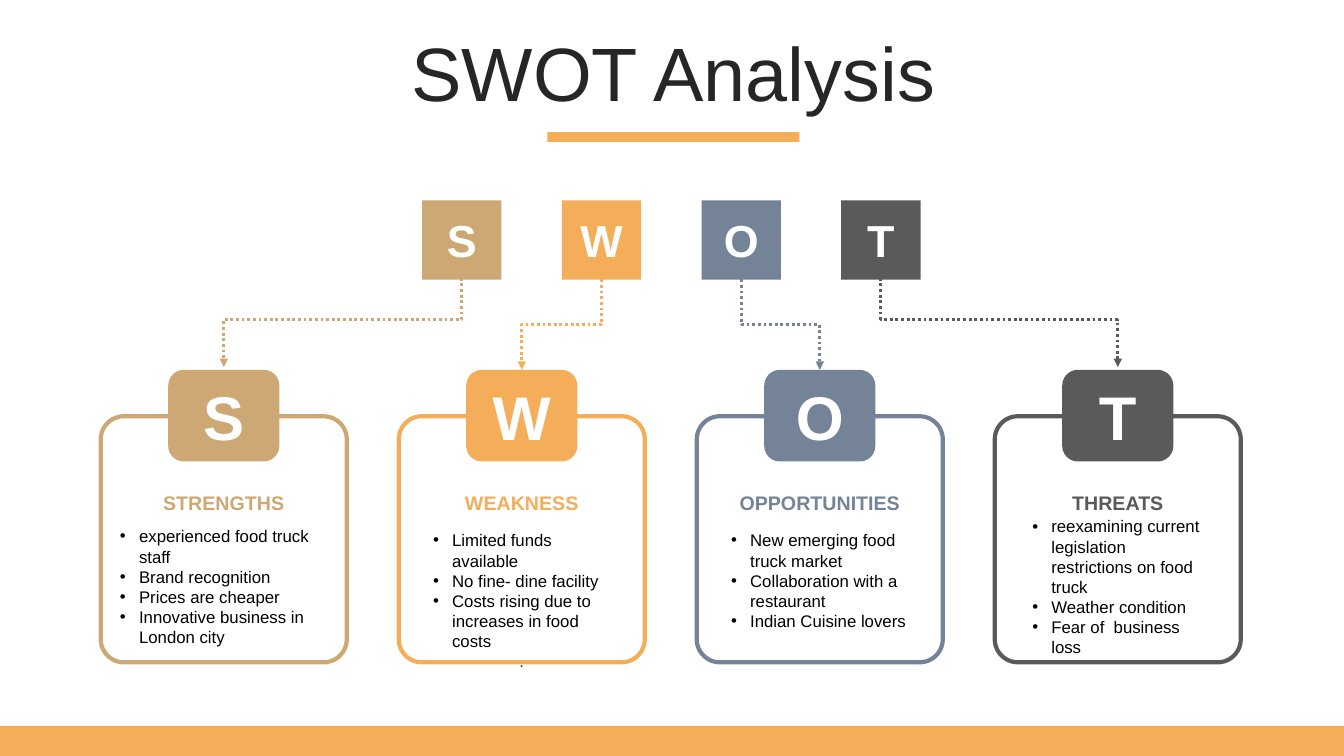
from dataclasses import dataclass

from lxml.etree import SubElement
from pptx import Presentation
from pptx.dml.color import RGBColor
from pptx.enum.dml import MSO_LINE
from pptx.enum.shapes import MSO_CONNECTOR as LINK, MSO_SHAPE as SHAPE
from pptx.enum.text import MSO_ANCHOR as ANCHOR, MSO_AUTO_SIZE as FIT, PP_ALIGN as ALIGN
from pptx.oxml.ns import qn
from pptx.util import Cm, Pt

WHITE, INK, ORANGE = "FFFFFF", "262626", "F4AE59"
FONT = "Arial"
CARD_LEFT, CARD_TOP, CARD_PITCH, CARD_SIZE = 2.54, 10.49, 7.51, 6.2
TILE_LEFT, TILE_TOP, TILE_PITCH, TILE_SIZE = 10.64, 5.05, 3.52, 2.0
BADGE_TOP, BADGE_WIDTH, BADGE_HEIGHT = 9.32, 2.8, 2.31
OUTER_RUN, INNER_RUN = (6.86, 9.25), (7.04, 9.32)


@dataclass
class Quadrant:
    """One SWOT letter; list_box is relative to its card, arrow_run is top and bottom."""
    letter: str
    heading: str
    color: str
    points: list
    list_box: tuple
    arrow_run: tuple
    closing: str = ""


QUADRANTS = [
    Quadrant("S", "STRENGTHS", "CDA874",
             ["experienced food truck staff", "Brand recognition",
              "Prices are cheaper", "Innovative business in London city"],
             (0.23, 2.64, 6.1, 3.33), OUTER_RUN),
    Quadrant("W", "WEAKNESS", ORANGE,
             ["Limited funds available", "No fine- dine facility",
              "Costs rising due to increases in food costs"],
             (0.61, 2.74, 4.98, 3.84), INNER_RUN, "."),
    Quadrant("O", "OPPORTUNITIES", "748398",
             ["New emerging food truck market", "Collaboration with a restaurant",
              "Indian Cuisine lovers"],
             (0.61, 2.74, 4.98, 2.82), INNER_RUN),
    Quadrant("T", "THREATS", "5A5A5A",
             ["reexamining current legislation  restrictions on food truck",
              "Weather condition", "Fear of  business loss"],
             (0.69, 2.39, 4.98, 3.84), OUTER_RUN),
]


def rgb(color):
    return RGBColor.from_string(color)


def apply(target, **values):
    for name, value in values.items():
        setattr(target, name, value)


def place(shape, box):
    apply(shape, **dict(zip(("left", "top", "width", "height"), map(Cm, box))))


def write(paragraph, text, size, color, bold=False, align=ALIGN.CENTER, line_spacing=1.0):
    paragraph.text = text
    apply(paragraph, alignment=align, line_spacing=line_spacing,
          space_before=Pt(0), space_after=Pt(0))
    apply(paragraph.font, name=FONT, size=Pt(size), bold=bold)
    paragraph.font.color.rgb = rgb(color)


def set_bullet(paragraph, mark=None):
    """Give the paragraph a hanging bullet, or none and no indent."""
    hang = Cm(0.48) if mark else 0
    properties = paragraph._p.get_or_add_pPr()
    properties.set("marL", str(hang))
    properties.set("indent", str(-hang))
    if mark:
        SubElement(properties, qn("a:buFont"), typeface=FONT)
        SubElement(properties, qn("a:buChar"), char=mark)
    else:
        SubElement(properties, qn("a:buNone"))


def add_block(slide, preset, box, fill, line=None, corner=None):
    block = slide.shapes.add_shape(preset, *map(Cm, box))
    block.shadow.inherit = False
    block.fill.solid()
    block.fill.fore_color.rgb = rgb(fill)
    if line:
        block.line.color.rgb = rgb(line)
        block.line.width = Pt(3)
    else:
        block.line.fill.background()
    if corner:
        block.adjustments[0] = corner
    return block


def add_letter_block(slide, preset, box, quadrant, size, corner=None):
    frame = add_block(slide, preset, box, quadrant.color, corner=corner).text_frame
    apply(frame, margin_left=0, margin_right=0, margin_top=0, margin_bottom=0,
          vertical_anchor=ANCHOR.MIDDLE, word_wrap=False)
    write(frame.paragraphs[0], quadrant.letter, size, WHITE, bold=True)


def add_title(slide, box):
    left, top, width, height = box
    title = slide.shapes.title
    place(title, box)
    apply(title.text_frame, vertical_anchor=ANCHOR.MIDDLE, auto_size=FIT.NONE)
    write(title.text_frame.paragraphs[0], "SWOT Analysis", 54, INK, line_spacing=0.9)
    rule_width = 6.35
    add_block(slide, SHAPE.RECTANGLE,
              (left + (width - rule_width) / 2, top + height + 0.38, rule_width, 0.25), ORANGE)


def fill_list(body, quadrant, box):
    place(body, box)
    frame = body.text_frame
    apply(frame, vertical_anchor=ANCHOR.TOP, auto_size=FIT.NONE, word_wrap=True)
    for index, point in enumerate(quadrant.points):
        paragraph = frame.add_paragraph() if index else frame.paragraphs[0]
        write(paragraph, point, 12, "000000", align=ALIGN.LEFT)
        set_bullet(paragraph, "•")
    if quadrant.closing:
        paragraph = frame.add_paragraph()
        write(paragraph, quadrant.closing, 12, "404040")
        set_bullet(paragraph)
    # Bring the list in front of its card.
    body.element.getparent().append(body.element)


def add_card(slide, quadrant, body, box):
    left, top, width, height = box
    add_block(slide, SHAPE.ROUNDED_RECTANGLE, box, WHITE, quadrant.color, corner=0.094)
    add_letter_block(slide, SHAPE.ROUNDED_RECTANGLE,
                     (left + (width - BADGE_WIDTH) / 2, BADGE_TOP, BADGE_WIDTH, BADGE_HEIGHT),
                     quadrant, 44, corner=0.17)
    heading = slide.shapes.add_textbox(*map(Cm, (left + 0.61, top + 1.75, 4.98, 0.86)))
    heading.text_frame.word_wrap = True
    write(heading.text_frame.paragraphs[0], quadrant.heading, 14, quadrant.color, bold=True)
    dx, dy, list_width, list_height = quadrant.list_box
    fill_list(body, quadrant, (left + dx, top + dy, list_width, list_height))


def add_arrow(slide, start_x, end_x, quadrant):
    """Draw an elbow that leaves downwards: a sideways elbow turned by a quarter."""
    start_y, end_y = quadrant.arrow_run
    middle_x, middle_y = (start_x + end_x) / 2, (start_y + end_y) / 2
    to_right = end_x > start_x
    half_run = (end_y - start_y) / 2 * (-1 if to_right else 1)
    half_span = abs(end_x - start_x) / 2
    arrow = slide.shapes.add_connector(
        LINK.ELBOW, *map(Cm, (middle_x - half_run, middle_y - half_span,
                              middle_x + half_run, middle_y + half_span)))
    arrow.line.color.rgb = rgb(quadrant.color)
    apply(arrow.line, width=Pt(2), dash_style=MSO_LINE.ROUND_DOT)
    properties = arrow.element.spPr
    properties.find(qn("a:xfrm")).set("rot", str((270 if to_right else 90) * 60000))
    SubElement(properties.find(qn("a:ln")), qn("a:tailEnd"), type="triangle")
    SubElement(properties, qn("a:effectLst"))


def build_swot_slide(deck):
    comparison_layout = deck.slide_layouts[4]
    slide = deck.slides.add_slide(comparison_layout)
    bodies = [holder for holder in slide.placeholders if holder.placeholder_format.idx]
    add_block(slide, SHAPE.RECTANGLE, (0, 18.29, 33.87, 0.76), ORANGE)
    add_title(slide, (0.89, 0.94, 32.16, 2.01))
    for column, (quadrant, body) in enumerate(zip(QUADRANTS, bodies)):
        card_left = CARD_LEFT + column * CARD_PITCH
        tile_left = TILE_LEFT + column * TILE_PITCH
        add_card(slide, quadrant, body, (card_left, CARD_TOP, CARD_SIZE, CARD_SIZE))
        add_letter_block(slide, SHAPE.RECTANGLE,
                         (tile_left, TILE_TOP, TILE_SIZE, TILE_SIZE), quadrant, 32)
        add_arrow(slide, tile_left + TILE_SIZE / 2, card_left + CARD_SIZE / 2, quadrant)


def main():
    deck = Presentation()
    apply(deck, slide_width=Cm(33.87), slide_height=Cm(19.05))
    build_swot_slide(deck)
    deck.save("out.pptx")


if __name__ == "__main__":
    main()
